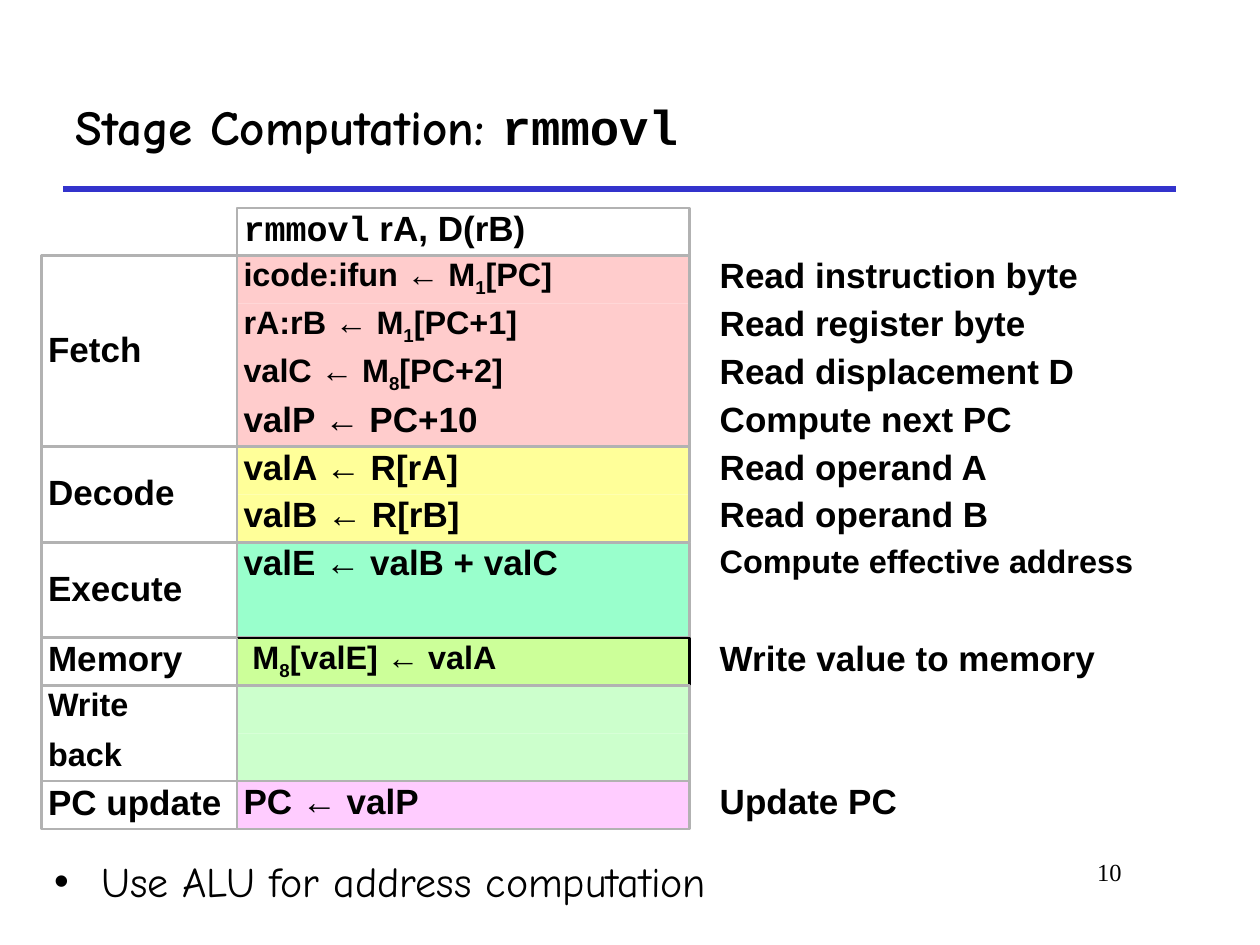
from lxml import etree
from pptx import Presentation
from pptx import util as u
from pptx.dml.color import RGBColor
from pptx.enum import shapes, text
from pptx.oxml import ns

Cm, Pt = u.Cm, u.Pt
COLORS = {
    "ink": "000000", "rule": "3333CC", "border": "B2B2B2",
    "fetch": "FFCCCC", "decode": "FFFF99", "execute": "99FFCC",
    "memory": "CCFF99", "write": "CCFFCC", "update": "FFCCFF",
}
# Stage label, colour, (computation, comment) rows; |x| marks a subscript
STAGES = [
    ("Fetch", "fetch", [
        ("icode:ifun ← M|1|[PC]", "Read instruction byte"),
        ("rA:rB ← M|1|[PC+1]", "Read register byte"),
        ("valC ← M|8|[PC+2]", "Read displacement D"),
        ("valP ← PC+10", "Compute next PC")]),
    ("Decode", "decode", [
        ("valA ← R[rA]", "Read operand A"),
        ("valB ← R[rB]", "Read operand B")]),
    ("Execute", "execute", [
        ("valE ← valB + valC", "Compute effective address"), ("", "")]),
    ("Memory", "memory", [(" M|8|[valE] ← valA", "Write value to memory")]),
    ("Write\nback", "write", [("", ""), ("", "")]),
    ("PC update", "update", [("PC ← valP", "Update PC")]),
]
LABEL_WIDTH, STEP_WIDTH, NOTE_GAP = 3.94, 9.12, 0.48
ROW_COUNT = 1 + sum(len(rows) for _, _, rows in STAGES)


def rgb(name):
    return RGBColor.from_string(COLORS[name])


def style(span, size, font="Arial", bold=True):
    span.font.size, span.font.name, span.font.bold = Pt(size), font, bold
    span.font.color.rgb = rgb("ink")


def write(box, content, size=20, spacing=0.8, middle=False):
    """Fill a cell with bold text; odd pieces between bars are subscripts."""
    frame = box.text_frame
    frame.word_wrap = True
    frame.vertical_anchor = text.MSO_ANCHOR.MIDDLE if middle else text.MSO_ANCHOR.TOP
    frame.margin_left = frame.margin_right = Cm(0.13)
    frame.margin_top = frame.margin_bottom = Cm(0.13)
    for i, line in enumerate(content.split("\n")):
        para = frame.add_paragraph() if i else frame.paragraphs[0]
        para.alignment = text.PP_ALIGN.LEFT
        para.line_spacing = spacing
        para.space_before = Pt(12.5 if i else 0)
        for j, piece in enumerate(line.split("|")):
            span = para.add_run()
            span.text = piece
            style(span, size)
            if j % 2:
                span._r.get_or_add_rPr().set("baseline", "-25000")


def add_cell(page, left, top, width, height, fill=None, line=None):
    box = page.shapes.add_shape(shapes.MSO_SHAPE.RECTANGLE,
                                Cm(left), Cm(top), Cm(width), Cm(height))
    box.shadow.inherit = False
    if fill:
        box.fill.solid()
        box.fill.fore_color.rgb = rgb(fill)
    else:
        box.fill.background()
    if line:
        box.line.color.rgb = rgb(line)
        box.line.width = Pt(1.5)
    else:
        box.line.fill.background()
    return box


def add_stage(page, left, top, row, label, color, rows):
    """One stage: step cells, outline, label and comments."""
    step_left = left + LABEL_WIDTH
    note_left = step_left + STEP_WIDTH + NOTE_GAP
    height = row * len(rows)
    single = len(rows) == 1
    border = "ink" if color == "memory" else "border"
    for i, (step, note) in enumerate(rows):
        y = top + i * row
        cell = add_cell(page, step_left, y, STEP_WIDTH, row, color,
                        border if single else None)
        if step:
            small = "|" in step
            write(cell, step, 18.5 if small else 20, 0.7 if small else 0.8)
        if note:
            box = page.shapes.add_textbox(Cm(note_left), Cm(y), Cm(STEP_WIDTH), Cm(row))
            write(box, note, 18.5 if len(note) > 22 else 20)
    if not single:
        add_cell(page, step_left, top, STEP_WIDTH, height, line="border")
    box = add_cell(page, left, top, LABEL_WIDTH, height, line="border")
    if "\n" in label:
        write(box, label, 18.5, 0.7, middle=True)
    else:
        write(box, label, 20, 0.8 if single else 0.9, middle=True)


def add_stages(page, left, top, height):
    row = height / ROW_COUNT
    # Instruction header
    head = add_cell(page, left + LABEL_WIDTH, top, STEP_WIDTH, row, line="border")
    write(head, "rmmovl")
    para = head.text_frame.paragraphs[0]
    para.runs[0].font.name = "Courier New"
    span = para.add_run()
    span.text = " rA, D(rB)"
    style(span, 20)
    # Stages, one below the other
    y = top + row
    for label, color, rows in STAGES:
        add_stage(page, left, y, row, label, color, rows)
        y += row * len(rows)


def add_title(page, left, top, width, height):
    title = page.shapes.title
    title.left, title.top, title.width, title.height = map(Cm, (left, top, width, height))
    title.text_frame.vertical_anchor = text.MSO_ANCHOR.MIDDLE
    para = title.text_frame.paragraphs[0]
    para.alignment = text.PP_ALIGN.LEFT
    for content, font in (("Stage Computation: ", "Comic Neue"), ("rmmovl", "Courier New")):
        span = para.add_run()
        span.text = content
        style(span, 28, font)
    # Rule under the title
    rule = page.shapes.add_connector(shapes.MSO_CONNECTOR.STRAIGHT, Cm(left),
                                     Cm(top + height), Cm(left + width), Cm(top + height))
    rule.line.color.rgb = rgb("rule")
    rule.line.width = Pt(3)
    etree.SubElement(rule._element.spPr, ns.qn("a:effectLst"))


def add_line(page, left, top, width, height, content, size, font):
    box = page.shapes.add_textbox(Cm(left), Cm(top), Cm(width), Cm(height))
    box.text_frame.word_wrap = True
    para = box.text_frame.paragraphs[0]
    para.text = content
    style(para.runs[0], size, font, bold=False)
    return para


def add_remark(page, left, top, width, height):
    para = add_line(page, left, top, width, height,
                    "Use ALU for address computation", 24, "Comic Neue")
    props = para._p.get_or_add_pPr()
    props.set("marL", str(Cm(0.95)))
    props.set("indent", str(-Cm(0.95)))
    etree.SubElement(props, ns.qn("a:buFont"), typeface="Arial")
    etree.SubElement(props, ns.qn("a:buChar"), char="•")


def main():
    deck = Presentation()
    deck.slide_width, deck.slide_height = Cm(25.4), Cm(19.05)
    page = deck.slides.add_slide(deck.slide_layouts[5])
    add_title(page, 1.27, 1.27, 22.43, 2.54)
    add_stages(page, 0.84, 4.19, 12.52)
    add_remark(page, 0.84, 17.12, 23.06, 1.5)
    number = add_line(page, 19.25, 17.15, 3.61, 1.27, "10", 14, "Times New Roman")
    number.alignment = text.PP_ALIGN.RIGHT
    deck.save("out.pptx")


if __name__ == "__main__":
    main()
